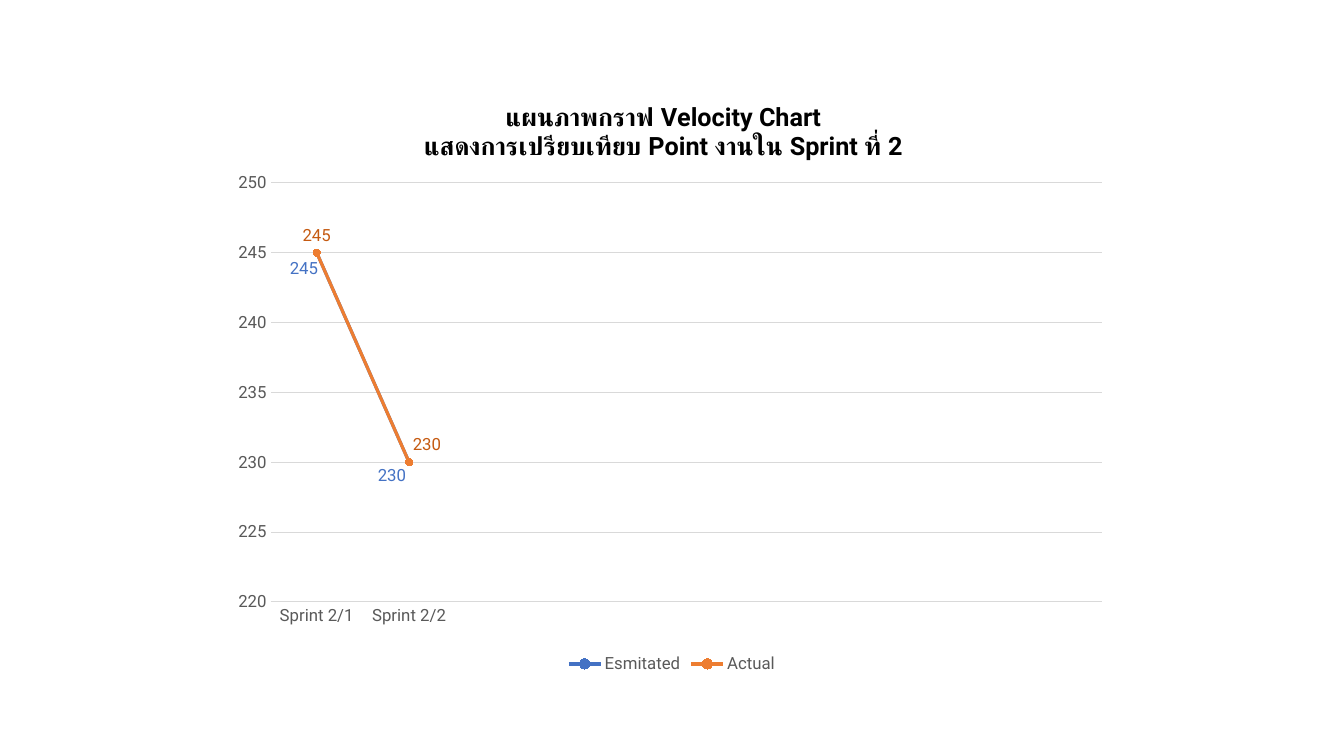
from lxml import etree
from pptx import Presentation
from pptx.chart.data import CategoryChartData
from pptx.dml.color import RGBColor
from pptx.enum.chart import (XL_CHART_TYPE, XL_LABEL_POSITION, XL_LEGEND_POSITION,
                             XL_MARKER_STYLE, XL_TICK_MARK)
from pptx.enum.text import MSO_ANCHOR, PP_ALIGN
from pptx.oxml.ns import qn
from pptx.util import Emu, Pt

LINE_MARKERS = XL_CHART_TYPE.LINE_MARKERS
ABOVE = XL_LABEL_POSITION.ABOVE
BOTTOM = XL_LEGEND_POSITION.BOTTOM
CIRCLE = XL_MARKER_STYLE.CIRCLE
NO_TICK = XL_TICK_MARK.NONE
MIDDLE = MSO_ANCHOR.MIDDLE
CENTER = PP_ALIGN.CENTER

EMU_PER_PX = 914400 / 100.8
FONT = "Roboto"
COLORS = {"black": "000000", "gray": "595959", "grid": "D9D9D9",
          "blue": "4472C4", "orange": "ED7D31", "rust": "C55A11"}
SLOTS = 9
SPRINTS = ["Sprint 2/1", "Sprint 2/2"]
SERIES = [("Esmitated", [245, 230], "blue"), ("Actual", [245, 230], "orange")]
TITLE = ["แผนภาพกราฟ Velocity Chart", "แสดงการเปรียบเทียบ Point งานใน Sprint ที่ 2"]


def px(n):
    return Emu(round(n * EMU_PER_PX))


def rgb(name):
    return RGBColor.from_string(COLORS[name])


def set_font(font, size, color, bold=False):
    font.name, font.size, font.bold = FONT, Pt(size), bold
    font.color.rgb = rgb(color)


def set_line(line, color, width):
    line.color.rgb = rgb(color)
    line.width = Pt(width)


def set_layout(parent, index, **values):
    """Give a chart part a manual layout, as fractions of the chart."""
    for old in parent.findall(qn("c:layout")):
        parent.remove(old)
    layout = etree.Element(qn("c:layout"))
    manual = etree.SubElement(layout, qn("c:manualLayout"))
    for tag, value in values.items():
        etree.SubElement(manual, qn("c:" + tag)).set("val", str(value))
    parent.insert(index, layout)


def add_title(chart):
    chart.has_title = True
    title = chart.chart_title
    tf = title.text_frame
    tf.text = "\n".join(TITLE)
    for p in tf.paragraphs:
        p.alignment = CENTER
        set_font(p.font, 18, "black", True)
    title.include_in_layout = False
    set_layout(title._element, 1, xMode="edge", yMode="edge", x=0.22, y=0.03)


def style_axes(chart):
    for axis in (chart.category_axis, chart.value_axis):
        axis.major_tick_mark = axis.minor_tick_mark = NO_TICK
        set_font(axis.tick_labels.font, 12, "gray")
    set_line(chart.category_axis.format.line, "grid", 0.75)
    points = chart.value_axis
    points.minimum_scale, points.maximum_scale, points.major_unit = 220, 250, 5
    points.format.line.fill.background()
    points.has_major_gridlines = True
    set_line(points.major_gridlines.format.line, "grid", 0.75)


def style_series(chart):
    for series, (_, _, color) in zip(chart.plots[0].series, SERIES):
        series.smooth = False
        set_line(series.format.line, color, 2.25)
        marker = series.marker
        marker.style, marker.size = CIRCLE, 5
        marker.format.fill.solid()
        marker.format.fill.fore_color.rgb = rgb(color)
        set_line(marker.format.line, color, 0.75)


def label_actual(series):
    labels = series.data_labels
    labels.show_value = True
    labels.position = ABOVE
    set_font(labels.font, 12, "rust")
    last = series.points[1].data_label
    last.position = ABOVE
    set_font(last.font, 12, "rust")
    label = labels._element.find(qn("c:dLbl"))
    set_layout(label, 1, x=0.02, y=0)


def add_velocity_chart(slide, x, y, w, h):
    data = CategoryChartData()
    data.categories = SPRINTS + [""] * (SLOTS - len(SPRINTS))
    for name, values, _ in SERIES:
        data.add_series(name, values + [None] * (SLOTS - len(values)))
    chart = slide.shapes.add_chart(LINE_MARKERS, px(x), px(y), px(w), px(h), data).chart
    set_font(chart.font, 10, "black")
    chart.plots[0].vary_by_categories = False
    add_title(chart)
    style_axes(chart)
    style_series(chart)
    label_actual(chart.plots[0].series[1])
    chart.has_legend = True
    chart.legend.position = BOTTOM
    chart.legend.include_in_layout = False
    set_font(chart.legend.font, 12, "gray")
    plot_area = chart._chartSpace.chart.plotArea
    set_layout(plot_area, 0, layoutTarget="inner", xMode="edge", yMode="edge",
               x=0.052, y=0.172, w=0.928, h=0.701)


def add_estimate_label(slide, text, x, y, w, h):
    tf = slide.shapes.add_textbox(px(x), px(y), px(w), px(h)).text_frame
    tf.word_wrap = False
    tf.vertical_anchor = MIDDLE
    p = tf.paragraphs[0]
    p.text = text
    p.alignment = CENTER
    set_font(p.font, 12, "blue")


def main():
    prs = Presentation()
    prs.slide_width, prs.slide_height = px(1344), px(756)
    slide = prs.slides.add_slide(prs.slide_layouts[6])
    add_velocity_chart(slide, 224, 80, 896, 598)
    for text, x, y in (("245", 279, 254), ("230", 367, 461)):
        add_estimate_label(slide, text, x, y, 50, 28)
    prs.save("out.pptx")


if __name__ == "__main__":
    main()
